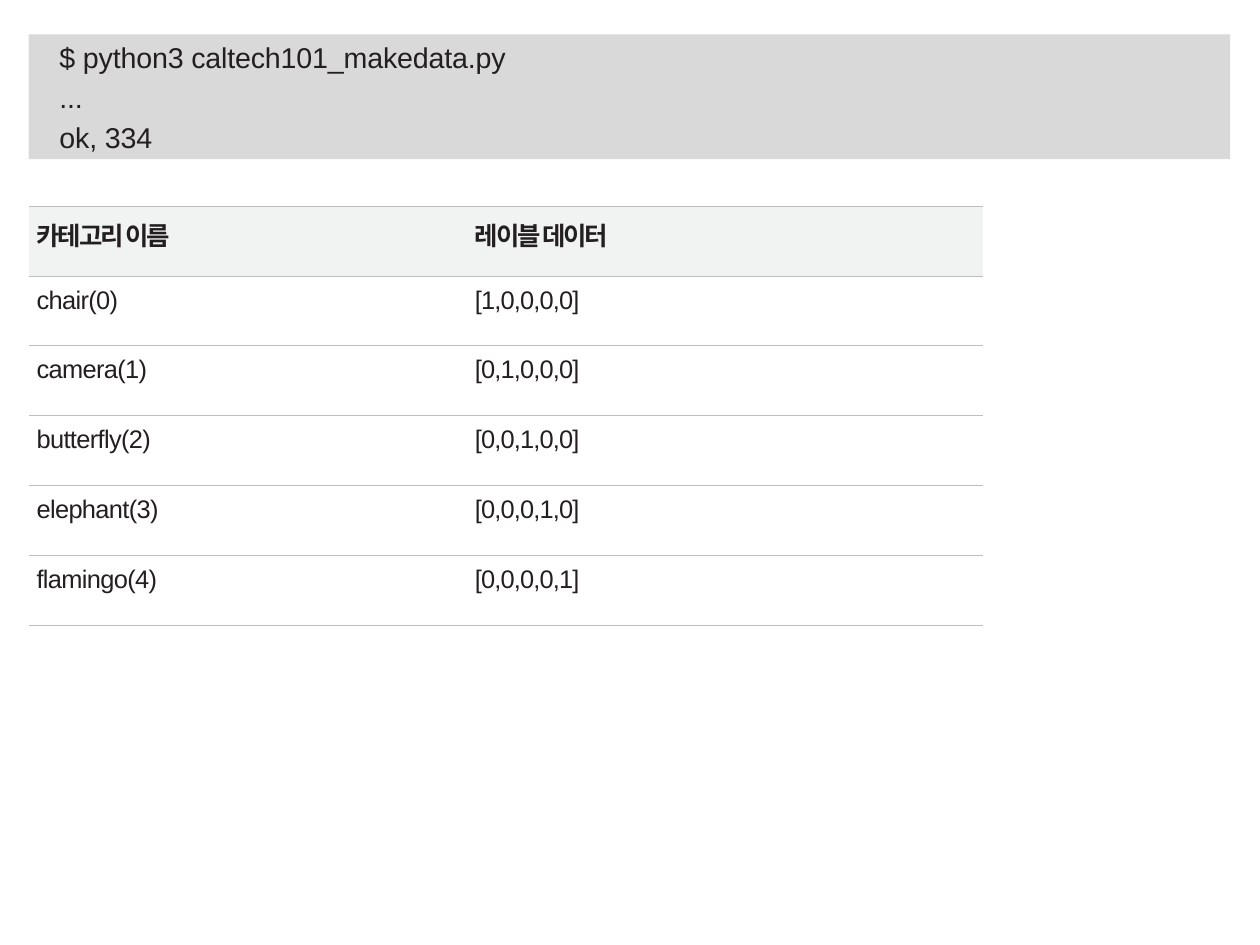
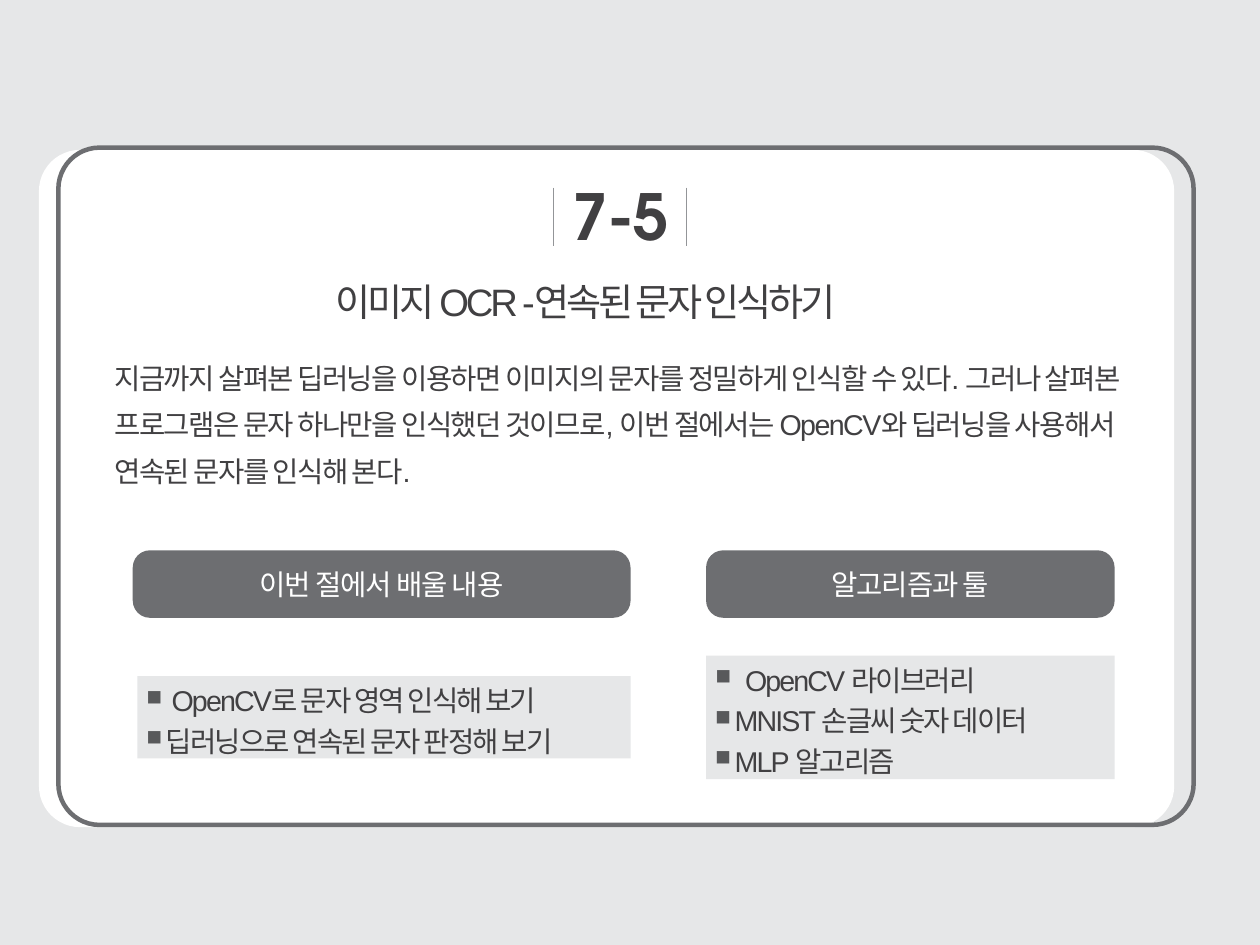
from dataclasses import dataclass

import pptx
import pptx.dml.color
import pptx.enum.shapes
import pptx.enum.text
import pptx.oxml
import pptx.oxml.ns
import pptx.util
from lxml import etree

SHAPE = pptx.enum.shapes.MSO_SHAPE
ALIGN = pptx.enum.text.PP_ALIGN
ANCHOR = pptx.enum.text.MSO_ANCHOR
qn = pptx.oxml.ns.qn


@dataclass(frozen=True)
class Theme:
    """Colours, fonts and type sizes of the deck."""
    ink: str = "231F20"
    text: str = "414042"
    white: str = "FFFFFF"
    code_fill: str = "D9D9D9"
    head_fill: str = "F1F2F2"
    table_line: str = "BCBEC0"
    pale: str = "E6E7E8"
    dark: str = "6D6E71"
    rule: str = "939598"
    bullet: str = "58595B"
    font: str = "Arial"
    label_font: str = "Noto Sans Mono"
    number_font: str = "TeX Gyre Adventor"
    number: int = 40
    title: int = 24
    body: int = 18
    table: int = 16


T = Theme()


def units(n):
    """Convert grid units of a tenth of an inch to a length."""
    return pptx.util.Inches(n / 10)


@dataclass(frozen=True)
class Box:
    """A region measured in grid columns and rows."""
    x: float
    y: float
    w: float
    h: float

    def inner(self, x, y, w, h):
        """Return a region placed relative to this one."""
        return Box(self.x + x, self.y + y, w, h)

    def lengths(self):
        """Return left, top, width and height as lengths."""
        return [units(n) for n in (self.x, self.y, self.w, self.h)]


SLIDE = Box(0, 0, 110.1, 82.6)


def rgb(value):
    """Turn a hex string into a colour."""
    return pptx.dml.color.RGBColor.from_string(value)


def add_bullet(p, indent):
    """Give a paragraph a small square bullet and a hanging indent."""
    pPr = p._p.get_or_add_pPr()
    pPr.set("marL", str(units(indent)))
    pPr.set("indent", str(units(0.8 - indent)))
    color = etree.SubElement(pPr, qn("a:buClr"))
    etree.SubElement(color, qn("a:srgbClr"), val=T.bullet)
    etree.SubElement(pPr, qn("a:buSzPct"), val="75000")
    etree.SubElement(pPr, qn("a:buChar"), char="■")


def write(tf, lines, size=T.body, color=T.text, font=T.font, bold=False, spc=0,
          align=ALIGN.LEFT, gap=0, spacing=None, indents=None):
    """Fill a text frame with one paragraph per line."""
    tf.word_wrap = True
    for i, line in enumerate(lines):
        p = tf.paragraphs[0] if i == 0 else tf.add_paragraph()
        if indents:
            add_bullet(p, indents[i])
        p.alignment = align
        if i and gap:
            p.space_before = pptx.util.Pt(gap)
        if spacing:
            p.line_spacing = spacing
        r = p.add_run()
        r.text = line
        r.font.size = pptx.util.Pt(size)
        r.font.name = font
        r.font.bold = bold
        r.font.color.rgb = rgb(color)
        r._r.get_or_add_rPr().set("spc", str(round(spc * 100)))


def set_margins(holder, left=0, top=0):
    """Set the inner margins of a text frame or a table cell."""
    holder.margin_left, holder.margin_top = units(left), units(top)
    holder.margin_right = holder.margin_bottom = 0


def add_text(slide, box, line, **fmt):
    """Add a text box without margins."""
    tf = slide.shapes.add_textbox(*box.lengths()).text_frame
    set_margins(tf)
    write(tf, [line], **fmt)


def add_panel(slide, box, fill=None, line=None, radius=0):
    """Add a plain or rounded rectangle, its radius given in grid units."""
    kind = SHAPE.ROUNDED_RECTANGLE if radius else SHAPE.RECTANGLE
    sp = slide.shapes.add_shape(kind, *box.lengths())
    sp.shadow.inherit = False
    if radius:
        sp.adjustments[0] = radius / min(box.w, box.h)
    if fill:
        sp.fill.solid()
        sp.fill.fore_color.rgb = rgb(fill)
    else:
        sp.fill.background()
    if line:
        sp.line.color.rgb = rgb(line)
        sp.line.width = pptx.util.Pt(2.83)
    else:
        sp.line.fill.background()
    return sp


def add_rule(slide, box):
    """Add a thin vertical line down the left edge of a box."""
    x, y, _, h = box.lengths()
    line = slide.shapes.add_connector(
        pptx.enum.shapes.MSO_CONNECTOR.STRAIGHT, x, y, x, y + h)
    line.line.color.rgb = rgb(T.rule)
    line.line.width = pptx.util.Pt(0.5)
    etree.SubElement(line._element.spPr, qn("a:effectLst"))


def set_borders(cell):
    """Draw thin lines above and below a cell and none at its sides."""
    tcPr = cell._tc.get_or_add_tcPr()
    for i, side in enumerate("LRTB"):
        ln = etree.Element(qn(f"a:ln{side}"), w="6350")
        if side in "TB":
            fill = etree.SubElement(ln, qn("a:solidFill"))
            etree.SubElement(fill, qn("a:srgbClr"), val=T.table_line)
        else:
            etree.SubElement(ln, qn("a:noFill"))
        tcPr.insert(i, ln)


def add_code(slide, box, lines):
    """Add a command with its output on a grey band."""
    sp = add_panel(slide, box, fill=T.code_fill)
    tf = sp.text_frame
    set_margins(tf, left=2.7, top=0.5)
    tf.vertical_anchor = ANCHOR.TOP
    write(tf, lines, color=T.ink, spc=-0.1, gap=3.4)


def add_label_table(slide, box, rows):
    """Add a two-column table with a shaded heading row."""
    table = slide.shapes.add_table(len(rows), 2, *box.lengths()).table
    table.first_row = table.horz_banding = False
    for column, width in zip(table.columns, (35.7, box.w - 35.7)):
        column.width = units(width)
    for i, values in enumerate(rows):
        head = i == 0
        for j, value in enumerate(values):
            cell = table.cell(i, j)
            set_margins(cell, left=(0.7, 3.3)[j], top=0.9)
            if head:
                cell.fill.solid()
                cell.fill.fore_color.rgb = rgb(T.head_fill)
            else:
                cell.fill.background()
            set_borders(cell)
            write(cell.text_frame, [value], size=T.table, color=T.ink,
                  bold=head, spc=-1.3 if head else (-0.4, -0.5)[j])


def add_topic(slide, box, label, items, inset=0):
    """Add a dark label with a bulleted list centred in the space below."""
    sp = add_panel(slide, box.inner(0, 0, box.w, 5.9), fill=T.dark, radius=1.5)
    set_margins(sp.text_frame)
    sp.text_frame.vertical_anchor = ANCHOR.MIDDLE
    write(sp.text_frame, [label], color=T.white, font=T.label_font, spc=-0.7,
          align=ALIGN.CENTER)
    height = 3.6 * len(items)
    area = box.inner(inset, 14.6 - height / 2, box.w - inset, height)
    tf = add_panel(slide, area, fill=T.pale).text_frame
    set_margins(tf, top=0.6)
    tf.vertical_anchor = ANCHOR.TOP
    lines, indents = zip(*items)
    write(tf, lines, spc=-1.2, gap=4, indents=indents)


def add_heading(slide, box, number, title):
    """Add the section number between two rules and the title below."""
    for x in (0, 11.6):
        add_rule(slide, box.inner(x, 0.9, 0, 5.1))
    add_text(slide, box.inner(1.6, 0, 10.4, 6.7), number, size=T.number,
             font=T.number_font, bold=True, spc=-0.4)
    add_text(slide, box.inner(-19.1, 8.8, 48.6, 4), title, size=T.title, spc=-2)


def label_slide(slide):
    """Build the slide that shows a command and its label data."""
    add_code(slide, SLIDE.inner(2.5, 3, 105, 10.9),
             ["$ python3 caltech101_makedata.py", "...", "ok, 334"])
    names = ["chair", "camera", "butterfly", "elephant", "flamingo"]
    rows = [("카테고리 이름", "레이블 데이터")]
    for i, name in enumerate(names):
        bits = ",".join(str(int(i == j)) for j in range(len(names)))
        rows.append((f"{name}({i})", f"[{bits}]"))
    add_label_table(slide, SLIDE.inner(2.5, 18, 83.4, 36.7), rows)


def section_slide(slide):
    """Build the opening slide of a section."""
    slide.background.fill.solid()
    slide.background.fill.fore_color.rgb = rgb(T.pale)
    card = SLIDE.inner(5.1, 12.9, 99.2, 59.2)
    add_panel(slide, card.inner(-1.7, 0.2, card.w, card.h), fill=T.white, radius=3.6)
    add_panel(slide, card, line=T.dark, radius=3.6)
    add_heading(slide, card.inner(43.3, 2.6, 11.6, 13), "7-5",
                "이미지 OCR -연속된 문자 인식하기")
    add_text(slide, card.inner(4.9, 17.6, 89.2, 12.3),
             "지금까지 살펴본 딥러닝을 이용하면 이미지의 문자를 정밀하게 인식할 수 있다. "
             "그러나 살펴본 프로그램은 문자 하나만을 인식했던 것이므로, 이번 절에서는 "
             "OpenCV와 딥러닝을 사용해서 연속된 문자를 인식해 본다.",
             spc=-1, spacing=1.35)
    add_topic(slide, card.inner(6.5, 35.2, 43.5, 20), "이번 절에서 배울 내용",
              [("OpenCV로 문자 영역 인식해 보기", 3),
               ("딥러닝으로 연속된 문자 판정해 보기", 2.5)], inset=0.4)
    add_topic(slide, card.inner(56.6, 35.2, 35.7, 20), "알고리즘과 툴",
              [("OpenCV 라이브러리", 3.4), ("MNIST 손글씨 숫자 데이터", 2.5),
               ("MLP 알고리즘", 2.5)])


def main():
    """Build and save the deck."""
    prs = pptx.Presentation()
    prs.slide_width, prs.slide_height = units(SLIDE.w), units(SLIDE.h)
    for build in (label_slide, section_slide):
        build(prs.slides.add_slide(prs.slide_layouts[6]))
    prs.save("out.pptx")


if __name__ == "__main__":
    main()
